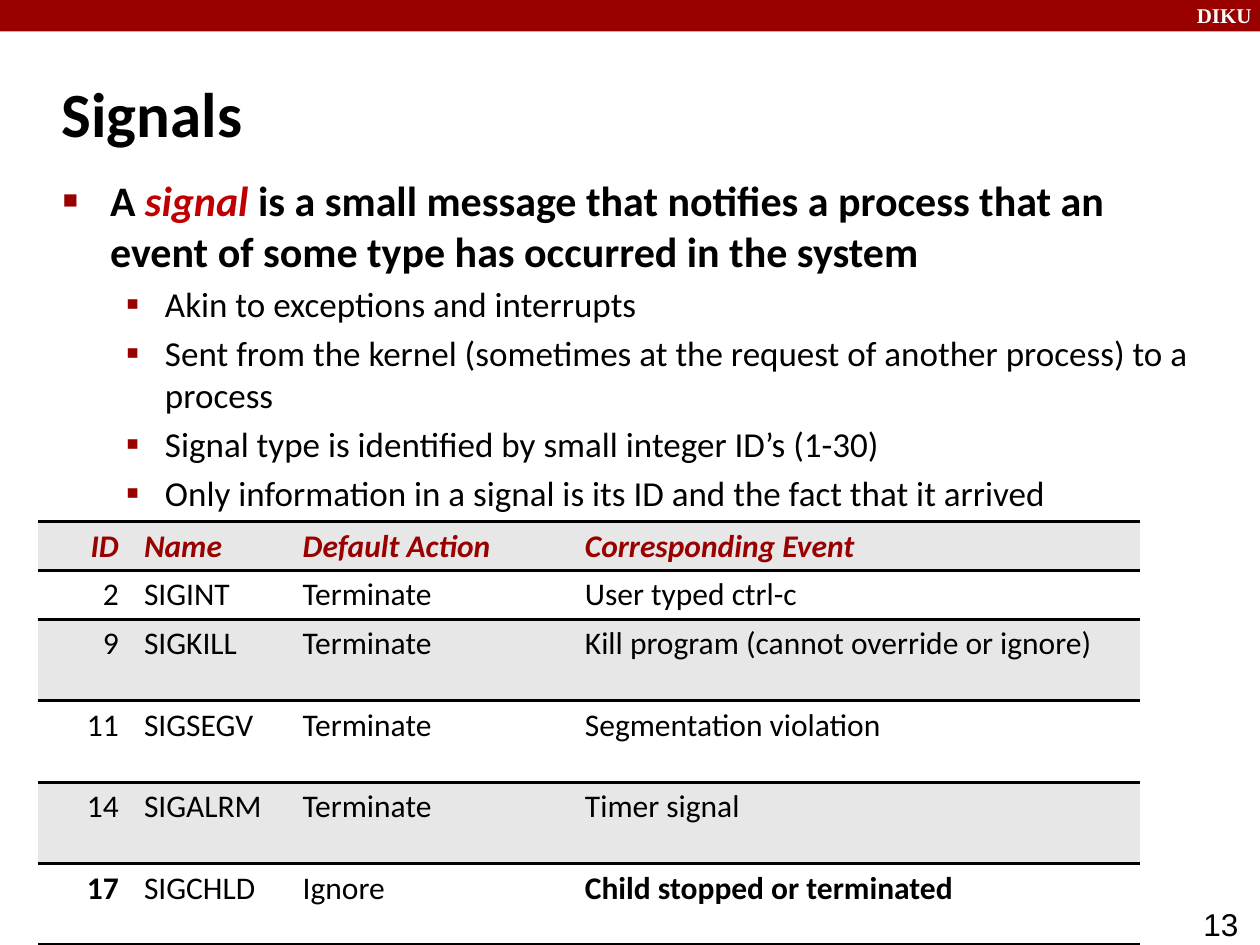
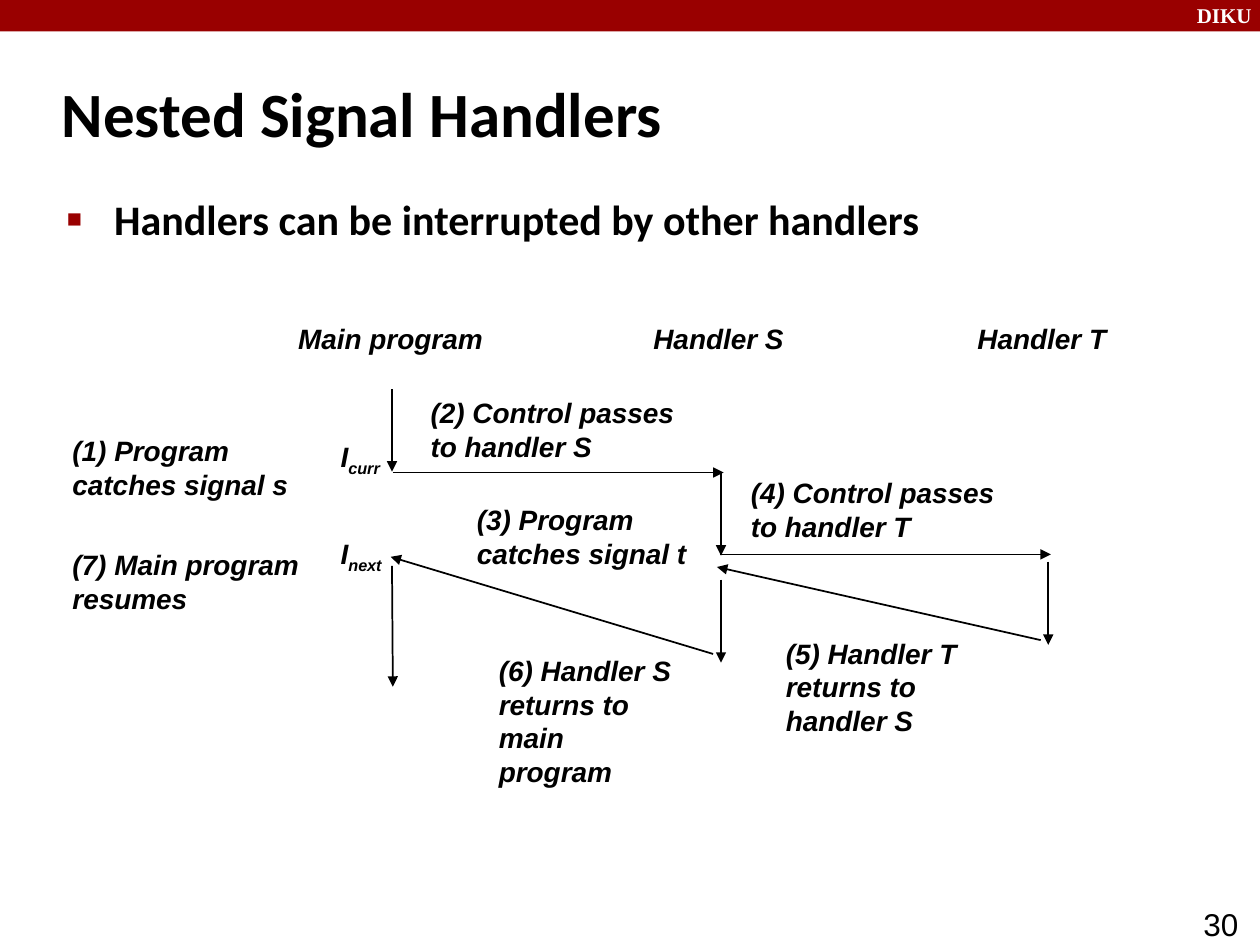
import pptx
import pptx.util
import pptx.dml.color
import pptx.enum.shapes
import pptx.enum.text
import pptx.oxml
import pptx.oxml.ns

Pt = pptx.util.Pt
RGB = pptx.dml.color.RGBColor
ALIGN = pptx.enum.text.PP_ALIGN
NS = pptx.oxml.ns.nsdecls("a")

RED = RGB(0x99, 0x00, 0x00)
ACCENT = RGB(0xC0, 0x00, 0x00)
BLACK = RGB(0x00, 0x00, 0x00)
WHITE = RGB(0xFF, 0xFF, 0xFF)
GREY = RGB(0xE7, 0xE7, 0xE7)

TITLE = {"name": "Calibri", "size": Pt(36), "bold": True}
HEAD = {"name": "Calibri", "size": Pt(24), "bold": True}
ITEM = {"name": "Calibri", "size": Pt(20), "bold": False}
CELL = {"name": "Calibri", "size": Pt(18)}
LABEL = {"name": "Arial", "size": Pt(16), "bold": True, "italic": True}
PAGE = {"name": "Arial", "size": Pt(18)}
BRAND = {"name": "Times New Roman", "size": Pt(12), "bold": True}

# Bullet levels: left margin, hanging indent, size in percent, sign, space before
LEVELS = {
    HEAD["size"]: (27, -27, 60, "■", 0),
    ITEM["size"]: (58.4, -22.3, 110, "▪", 4),
}


def write(para, runs, style, color=BLACK):
    """Add (text, changes) runs to a paragraph in one style."""
    for text, extra in runs:
        run = para.add_run()
        run.text = text
        run.font.color.rgb = extra.get("color", color)
        for key, value in {**style, **extra}.items():
            if key == "base":
                run.font._element.set("baseline", str(value))
            elif key != "color":
                setattr(run.font, key, value)


def put(slide, box, paras, color=BLACK, bullets=False):
    """Add a text box whose paragraphs are (runs, style) pairs."""
    frame = slide.shapes.add_textbox(*map(Pt, box)).text_frame
    frame.word_wrap = True
    for i, (runs, style) in enumerate(paras):
        para = frame.add_paragraph() if i else frame.paragraphs[0]
        if bullets:
            left, hang, size, sign, gap = LEVELS[style["size"]]
            props = para._p.get_or_add_pPr()
            props.set("marL", str(Pt(left)))
            props.set("indent", str(Pt(hang)))
            for xml in (
                f'<a:buClr {NS}><a:srgbClr val="{RED}"/></a:buClr>',
                f'<a:buSzPct {NS} val="{size * 1000}"/>',
                f'<a:buFont {NS} typeface="Arial"/>',
                f'<a:buChar {NS} char="{sign}"/>',
            ):
                props.append(pptx.oxml.parse_xml(xml))
            para.space_before = Pt(gap)
        write(para, runs, style, color)
    return frame


deck = pptx.Presentation()
deck.slide_width, deck.slide_height = Pt(720), Pt(540)

# Shared band, title and page number
slides = []
for title, page in (("Signals", "13"), ("Nested Signal Handlers", "30")):
    slide = deck.slides.add_slide(deck.slide_layouts[6])
    band = slide.shapes.add_shape(
        pptx.enum.shapes.MSO_SHAPE.RECTANGLE, 0, 0, Pt(720), Pt(18))
    band.shadow.inherit = False
    band.fill.solid()
    band.fill.fore_color.rgb = RED
    band.line.fill.background()
    put(slide, (676.8, -2, 48, 21.6), [([("DIKU", {})], BRAND)], WHITE)
    put(slide, (680.6, 513.6, 54, 19), [([(page, {})], PAGE)])
    frame = put(slide, (28.2, 34.2, 598, 60), [([(title, {})], TITLE)])
    frame.vertical_anchor = pptx.enum.text.MSO_ANCHOR.MIDDLE
    slides.append(slide)
signals, nested = slides

# Signals: bullets
lead = [
    ("A ", {}),
    ("signal", {"color": ACCENT, "italic": True}),
    (" is a small message that notifies a process that an event of some type "
     "has occurred in the system", {}),
]
items = (
    "Akin to exceptions and interrupts",
    "Sent from the kernel (sometimes at the request of another process) "
    "to a process",
    "Signal type is identified by small integer ID’s (1-30)",
    "Only information in a signal is its ID and the fact that it arrived",
)
put(signals, (28.8, 96.3, 661, 216),
    [(lead, HEAD)] + [([(item, {})], ITEM) for item in items], bullets=True)

# Signals: table
rows = (
    ("ID", "Name", "Default Action", "Corresponding Event"),
    ("2", "SIGINT", "Terminate", "User typed ctrl-c"),
    ("9", "SIGKILL", "Terminate", "Kill program (cannot override or ignore)"),
    ("11", "SIGSEGV", "Terminate", "Segmentation violation"),
    ("14", "SIGALRM", "Terminate", "Timer signal"),
    ("17", "SIGCHLD", "Ignore", "Child stopped or terminated"),
)
strong = ("17", "Child stopped or terminated")
widths = (53.5, 90.7, 161.3, 324.5)
heights = (28, 28) + (46.5,) * 4
holder = signals.shapes.add_table(
    len(rows), len(widths), Pt(21.6), Pt(298), Pt(sum(widths)), Pt(sum(heights)))
table = holder.table
table.first_row = table.horz_banding = False
table._tbl.tblPr[0].text = "{2D5ABB26-0587-4C30-8999-92F81FD0307C}"
for col, width in zip(table.columns, widths):
    col.width = Pt(width)
for r, row in enumerate(rows):
    table.rows[r].height = Pt(heights[r])
    for c, text in enumerate(row):
        cell = table.cell(r, c)
        props = cell._tc.get_or_add_tcPr()
        for side in ("lnT", "lnB"):
            props.append(pptx.oxml.parse_xml(
                f'<a:{side} {NS} w="{Pt(2)}"><a:solidFill>'
                f'<a:srgbClr val="{BLACK}"/></a:solidFill></a:{side}>'))
        cell.fill.solid()
        cell.fill.fore_color.rgb = WHITE if r % 2 else GREY
        para = cell.text_frame.paragraphs[0]
        para.alignment = ALIGN.LEFT if c else ALIGN.RIGHT
        para.line_spacing = 0.95
        look = {"bold": r == 0 or text in strong, "italic": r == 0}
        write(para, [(text, look)], CELL, BLACK if r else RED)

# Nested handlers: bullet
put(nested, (31.2, 107.3, 621, 49),
    [([("Handlers can be interrupted by other handlers", {})], HEAD)],
    bullets=True)

# Nested handlers: column heads and step labels
labels = (
    ((163.3, 180, 126, 26), "Main program"),
    ((366.3, 180, 97, 26), "Handler S"),
    ((551.5, 180, 97, 26), "Handler T"),
    ((34.3, 244.5, 151, 45), "(1) Program catches signal s"),
    ((239, 222.5, 161, 45), "(2) Control passes to handler S"),
    ((265.4, 283.7, 146, 45), "(3) Program catches signal t"),
    ((422, 268.3, 166, 45), "(4) Control passes to handler T"),
    ((442, 360, 117, 64), "(5) Handler T", "returns to handler S"),
    ((278, 370, 117, 84), "(6) Handler S", "returns to main program"),
    ((34.3, 309.6, 151, 45), "(7) Main program resumes"),
)
for box, *lines in labels:
    put(nested, box, [([(line, {})], LABEL) for line in lines])

# Nested handlers: instructions, wide enough for one line each
for top, sub in ((247.7, "curr"), (303, "next")):
    put(nested, (187.6, top, 50, 29),
        [([("I", {}), (sub, {"base": -25000})], LABEL)])

# Nested handlers: flow of control
arrows = (
    (224, 222.5, 224, 269.5),
    (224.5, 270, 413.5, 270),
    (412, 270, 412, 317.5),
    (411.5, 316.8, 600.5, 316.8),
    (599, 321, 599, 368.5),
    (594.7, 365.8, 409.7, 324),
    (412, 331.2, 412, 378.7),
    (407.5, 373.7, 223.2, 318.2),
    (224, 323.3, 224.5, 392.4),
)
for ends in arrows:
    arrow = nested.shapes.add_connector(
        pptx.enum.shapes.MSO_CONNECTOR.STRAIGHT, *map(Pt, ends))
    arrow.line.color.rgb = BLACK
    arrow.line.width = Pt(1)
    arrow.line._get_or_add_ln().append(
        pptx.oxml.parse_xml(f'<a:tailEnd {NS} type="triangle"/>'))
    arrow._element.spPr.append(pptx.oxml.parse_xml(f"<a:effectLst {NS}/>"))

deck.save("out.pptx")
